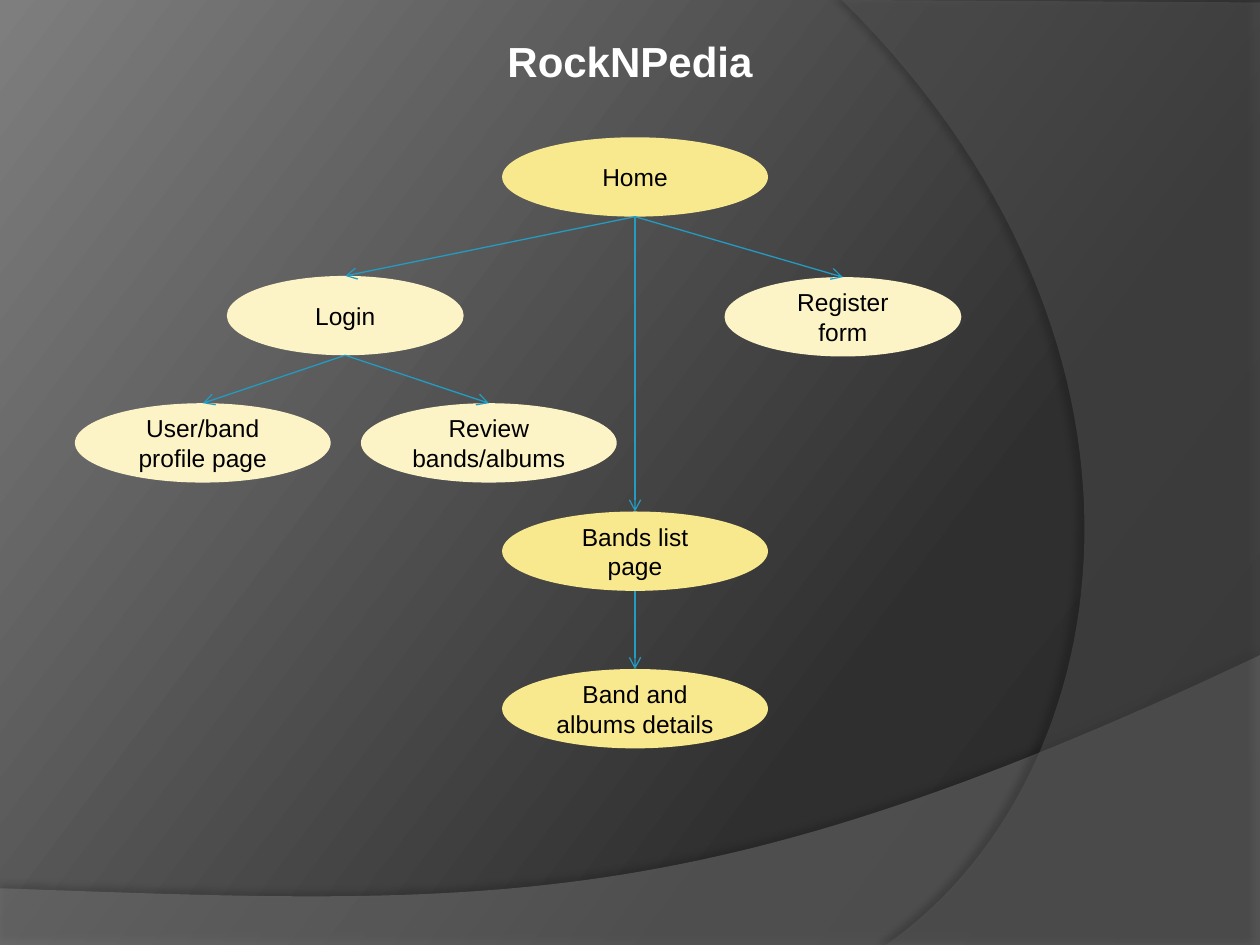
from copy import deepcopy
from typing import NamedTuple

from lxml import etree
from pptx import Presentation
from pptx.dml.color import RGBColor
from pptx.enum.shapes import MSO_CONNECTOR, MSO_SHAPE
from pptx.enum.text import MSO_ANCHOR, PP_ALIGN
from pptx.oxml.ns import qn
from pptx.util import Inches, Pt

OVAL = MSO_SHAPE.OVAL
STRAIGHT = MSO_CONNECTOR.STRAIGHT
CENTER = PP_ALIGN.CENTER
MIDDLE = MSO_ANCHOR.MIDDLE

WIDTH, HEIGHT = Inches(10), Inches(7.5)
PAGE_HEIGHT = 8.4  # percent of the slide height
TOP_SITE, RECT_BOTTOM, OVAL_BOTTOM = 0, 2, 4
CURVE_STEPS = 60
FONT = "Arial"
COLORS = {
    "main": "F9E98E",
    "member": "FCF4C7",
    "arrow": "239BC2",
    "label": "000000",
    "title": "FFFFFF",
    "floor": "7F7F7F",
    "side": "5E5E5E",
    "shadow": "000000",
}
BACKGROUND_STOPS = [(0, "282828"), (0.3, "2F2F2F"), (1, "7E7E7E")]


class Page(NamedTuple):
    """Centre, top and width are percentages of the slide's size."""
    label: str
    center: float
    top: float
    width: float
    color: str


class Swoosh(NamedTuple):
    """Corners, then one Bezier (start, two controls, end), in inches."""
    corners: list
    curve: list
    color: str
    opacity: int
    shadow_opacity: int
    shadow_distance: float
    shadow_angle: int


PAGES = {
    "home": Page("Home", 50.4, 14.53, 21.1, "main"),
    "login": Page("Login", 27.4, 29.2, 18.8, "member"),
    "register": Page("Register form", 66.9, 29.33, 18.8, "member"),
    "bands": Page("Bands list page", 50.4, 54.13, 21.1, "main"),
    "details": Page("Band and albums details", 50.4, 70.8, 21.1, "main"),
    "profile": Page("User/band profile page", 16.1, 42.67, 20.3, "member"),
    "review": Page("Review bands/albums", 38.8, 42.67, 20.3, "member"),
}
LINKS = [
    ("home", "login"), ("home", "register"), ("home", "bands"),
    ("login", "profile"), ("login", "review"), ("bands", "details"),
]
SWOOSHES = [
    Swoosh([(0, 7.5), (10, 7.5)],
           [(10, 5.2), (5.59, 7.29), (3.91, 7.19), (0, 7.05)],
           "floor", 45, 35, 3.5, 270),
    Swoosh([(10, 0.02), (10, 7.5)],
           [(7.03, 7.5), (8.91, 6.19), (9.47, 2.75), (6.68, 0)],
           "side", 40, 45, 4, 180),
]


def rgb(name: str) -> RGBColor:
    return RGBColor.from_string(COLORS[name])


def bezier_points(curve: list) -> list:
    points = []
    for step in range(CURVE_STEPS + 1):
        t = step / CURVE_STEPS
        weights = ((1 - t) ** 3, 3 * t * (1 - t) ** 2, 3 * t * t * (1 - t), t ** 3)
        points.append(tuple(sum(w * p[axis] for w, p in zip(weights, curve))
                            for axis in (0, 1)))
    return points


def set_opacity(color, percent: int) -> None:
    etree.SubElement(color, qn("a:alpha"), val=str(percent * 1000))


def paint_background(slide) -> None:
    fill = slide.background.fill
    fill.gradient()
    fill.gradient_angle = 143
    first = fill.gradient_stops[0]._gs
    first.addnext(deepcopy(first))
    for stop, (position, color) in zip(fill.gradient_stops, BACKGROUND_STOPS):
        stop.position = position
        stop.color.rgb = RGBColor.from_string(color)


def draw_swoosh(slide, swoosh: Swoosh) -> None:
    outline = [(Inches(x), Inches(y))
               for x, y in swoosh.corners + bezier_points(swoosh.curve)]
    builder = slide.shapes.build_freeform(*outline[0])
    builder.add_line_segments(outline[1:], close=True)
    band = builder.convert_to_shape()
    band.fill.solid()
    band.fill.fore_color.rgb = rgb(swoosh.color)
    band.line.fill.background()
    band.shadow.inherit = False
    properties = band._element.spPr
    set_opacity(properties.find(qn("a:solidFill"))[0], swoosh.opacity)
    shadow = etree.SubElement(
        properties.find(qn("a:effectLst")), qn("a:outerShdw"),
        blurRad=str(Pt(4)), dist=str(Pt(swoosh.shadow_distance)),
        dir=str(swoosh.shadow_angle * 60000), rotWithShape="0")
    tint = etree.SubElement(shadow, qn("a:srgbClr"), val=COLORS["shadow"])
    set_opacity(tint, swoosh.shadow_opacity)


def write_text(shape, text: str, size: float, color: str, bold: bool) -> None:
    frame = shape.text_frame
    frame.word_wrap = True
    frame.vertical_anchor = MIDDLE
    paragraph = frame.paragraphs[0]
    paragraph.alignment = CENTER
    run = paragraph.add_run()
    run.text = text
    for name, value in {"name": FONT, "size": Pt(size), "bold": bold}.items():
        setattr(run.font, name, value)
    run.font.color.rgb = rgb(color)


def draw_page(slide, page: Page):
    oval = slide.shapes.add_shape(
        OVAL, round(WIDTH * (page.center - page.width / 2) / 100),
        round(HEIGHT * page.top / 100), round(WIDTH * page.width / 100),
        round(HEIGHT * PAGE_HEIGHT / 100))
    oval.fill.solid()
    oval.fill.fore_color.rgb = rgb(page.color)
    oval.line.fill.background()
    oval.shadow.inherit = False
    write_text(oval, page.label, 14, "label", False)
    return oval


def draw_link(slide, parent, child) -> None:
    """Arrow from the bottom of one oval to the top of another."""
    link = slide.shapes.add_connector(STRAIGHT, 0, 0, 0, 0)
    link.begin_connect(parent, RECT_BOTTOM)
    link.end_connect(child, TOP_SITE)
    # An oval has eight connection sites, so its bottom is not number 2.
    link._element.find(".//" + qn("a:stCxn")).set("idx", str(OVAL_BOTTOM))
    link.line.width = Pt(0.75)
    link.line.color.rgb = rgb("arrow")
    etree.SubElement(link.line._get_or_add_ln(), qn("a:tailEnd"), type="arrow")
    etree.SubElement(link._element.spPr, qn("a:effectLst"))


def place_title(slide) -> None:
    title = slide.shapes.title
    box = {"left": 0, "top": Inches(0.23), "width": WIDTH, "height": Inches(0.5)}
    for name, value in box.items():
        setattr(title, name, value)
    write_text(title, "RockNPedia", 24, "title", True)
    slide.shapes._spTree.append(title._element)  # in front of the swooshes


def main() -> None:
    deck = Presentation()
    deck.slide_width, deck.slide_height = WIDTH, HEIGHT
    slide = deck.slides.add_slide(deck.slide_layouts[5])
    paint_background(slide)
    for swoosh in SWOOSHES:
        draw_swoosh(slide, swoosh)
    place_title(slide)
    ovals = {key: draw_page(slide, page) for key, page in PAGES.items()}
    for parent, child in LINKS:
        draw_link(slide, ovals[parent], ovals[child])
    deck.save("out.pptx")


if __name__ == "__main__":
    main()
